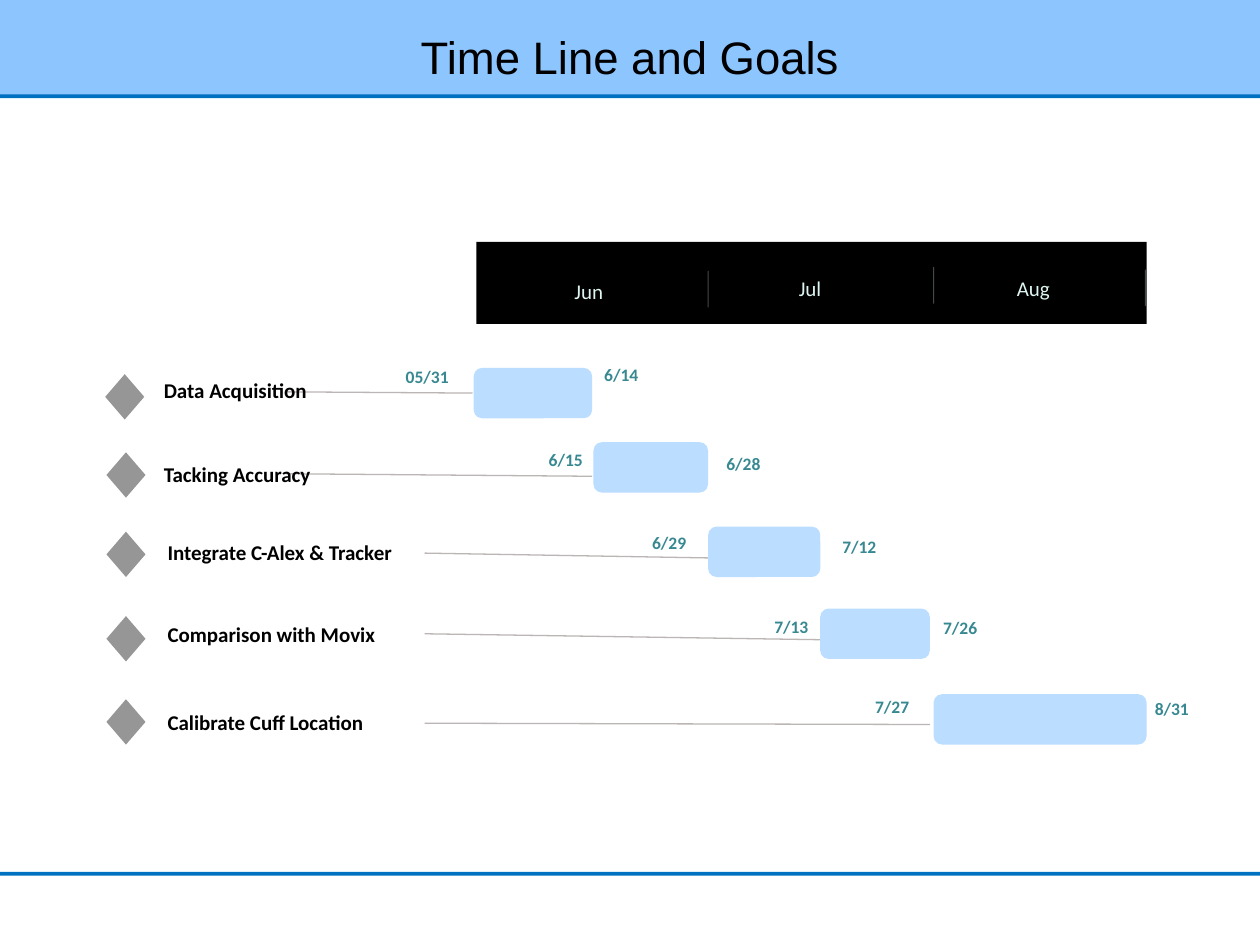
from lxml import etree
from pptx import Presentation
from pptx.dml.color import RGBColor
from pptx.enum.shapes import MSO_CONNECTOR, MSO_SHAPE
from pptx.enum.text import MSO_ANCHOR, PP_ALIGN
from pptx.oxml.ns import qn
from pptx.util import Inches, Pt

RECT, ROUND, DIAMOND = MSO_SHAPE.RECTANGLE, MSO_SHAPE.ROUNDED_RECTANGLE, MSO_SHAPE.DIAMOND
LEFT, CENTER, MIDDLE = PP_ALIGN.LEFT, PP_ALIGN.CENTER, MSO_ANCHOR.MIDDLE
W, H = 10, 7.5

# Content: places are centres in inches unless named otherwise
TITLE = "Time Line and Goals"
MONTHS = [  # name, text left, text centre y, divider x, divider top
    ("Jun", 4.56, 2.31, 5.62, 2.15),
    ("Jul", 6.34, 2.29, 7.41, 2.12),
    ("Aug", 8.07, 2.29, 9.09, 2.14),
]
TASKS = [  # label, label left, row y; start and end as (date, x, y); bar as left, right, y
    dict(label="Data Acquisition", left=1.3, y=3.1, mark=(0.99, 3.15), bar=(3.76, 4.7, 3.12),
         start=("05/31", 3.39, 2.99), end=("6/14", 4.93, 2.97), line=(2.27, 3.11, 3.75, 3.12)),
    dict(label="Tacking Accuracy", left=1.3, y=3.76, mark=(1, 3.77), bar=(4.71, 5.62, 3.71),
         start=("6/15", 4.49, 3.65), end=("6/28", 5.9, 3.68), line=(2.27, 3.76, 4.7, 3.78)),
    dict(label="Integrate C-Alex & Tracker", left=1.33, y=4.38, mark=(1, 4.4), bar=(5.62, 6.51, 4.38),
         start=("6/29", 5.31, 4.31), end=("7/12", 6.82, 4.34), line=(3.37, 4.39, 5.74, 4.43)),
    dict(label="Comparison with Movix", left=1.33, y=5.03, mark=(1, 5.07), bar=(6.51, 7.38, 5.03),
         start=("7/13", 6.28, 4.97), end=("7/26", 7.62, 4.98), line=(3.37, 5.03, 6.7, 5.08)),
    dict(label="Calibrate Cuff Location", left=1.33, y=5.73, mark=(1, 5.73), bar=(7.41, 9.1, 5.71),
         start=("7/27", 7.08, 5.61), end=("8/31", 9.3, 5.62), line=(3.37, 5.74, 7.38, 5.75)),
]
MONTH_FONT = dict(name="Calibri", size=Pt(12), bold=False)
LABEL_FONT = dict(name="Calibri", size=Pt(12), bold=True)
DATE_FONT = dict(name="Calibri", size=Pt(10), bold=True)
TITLE_FONT = dict(name="Arial", size=Pt(26), bold=False)
DATE_W, LABEL_W, TEXT_H, BAR_H = 0.88, 2.04, 0.26, 0.4
MARK_W, MARK_H, DIVIDER_H = 0.31, 0.36, 0.29

prs = Presentation()
prs.slide_width, prs.slide_height = Inches(W), Inches(H)
s = prs.slides.add_slide(prs.slide_layouts[5])


def color(value):
    return RGBColor.from_string(value)


def add_block(kind, x, y, w, h, fill):
    sp = s.shapes.add_shape(kind, *map(Inches, (x, y, w, h)))
    sp.shadow.inherit = False
    sp.fill.solid()
    sp.fill.fore_color.rgb = color(fill)
    sp.line.fill.background()
    return sp


def add_line(x1, y1, x2, y2, stroke, width, alpha=None):
    line = s.shapes.add_connector(MSO_CONNECTOR.STRAIGHT, *map(Inches, (x1, y1, x2, y2)))
    line.line.color.rgb = color(stroke)
    line.line.width = Pt(width)
    props = line.element.spPr
    etree.SubElement(props, qn("a:effectLst"))
    if alpha:
        rgb = next(props.iter(qn("a:srgbClr")))
        etree.SubElement(rgb, qn("a:alpha")).set("val", str(alpha * 1000))


def write(tf, text, fmt, ink, align):
    tf.word_wrap = True
    tf.vertical_anchor = MIDDLE
    tf.margin_left = tf.margin_right = tf.margin_top = tf.margin_bottom = 0
    p = tf.paragraphs[0]
    p.alignment = align
    r = p.add_run()
    r.text = text
    for key, value in fmt.items():
        setattr(r.font, key, value)
    r.font.color.rgb = color(ink)
    return p


def add_text(text, x, mid_y, w, fmt, ink, align=LEFT):
    box = s.shapes.add_textbox(*map(Inches, (x, mid_y - TEXT_H / 2, w, TEXT_H)))
    write(box.text_frame, text, fmt, ink, align)


# Header and footer bands, with the title in front
for y, h, fill in [(0, 0.78, "0070C0"), (0, 0.75, "8DC6FF"), (6.92, 0.03, "0070C0")]:
    add_block(RECT, 0, y, W, h, fill)
title = s.shapes.title
title.left, title.top, title.width, title.height = map(Inches, (0.69, 0.15, 8.62, 0.65))
write(title.text_frame, TITLE, TITLE_FONT, "000000", CENTER).line_spacing = 0.9
s.shapes.element.append(title.element)

# Leader lines lie under the bars
for task in TASKS:
    add_line(*task["line"], "BBB5B5", 0.75)

# Month header
add_block(RECT, 3.78, 1.92, 5.32, 0.65, "000000")
for name, x, y, divider_x, divider_y in MONTHS:
    add_text(name, x, y, 0.4, MONTH_FONT, "DEF6F1")
    add_line(divider_x, divider_y, divider_x, divider_y + DIVIDER_H, "DEF6F1", 0.5, alpha=30)

# Task rows: marker, label, bar and dates
for task in TASKS:
    x, y = task["mark"]
    add_block(DIAMOND, x - MARK_W / 2, y - MARK_H / 2, MARK_W, MARK_H, "969696")
    add_text(task["label"], task["left"], task["y"], LABEL_W, LABEL_FONT, "000000")
    left, right, y = task["bar"]
    add_block(ROUND, left, y - BAR_H / 2, right - left, BAR_H, "BBDDFF")
    for date, x, y in (task["start"], task["end"]):
        add_text(date, x - DATE_W / 2, y, DATE_W, DATE_FONT, "378891", CENTER)

prs.save("out.pptx")
